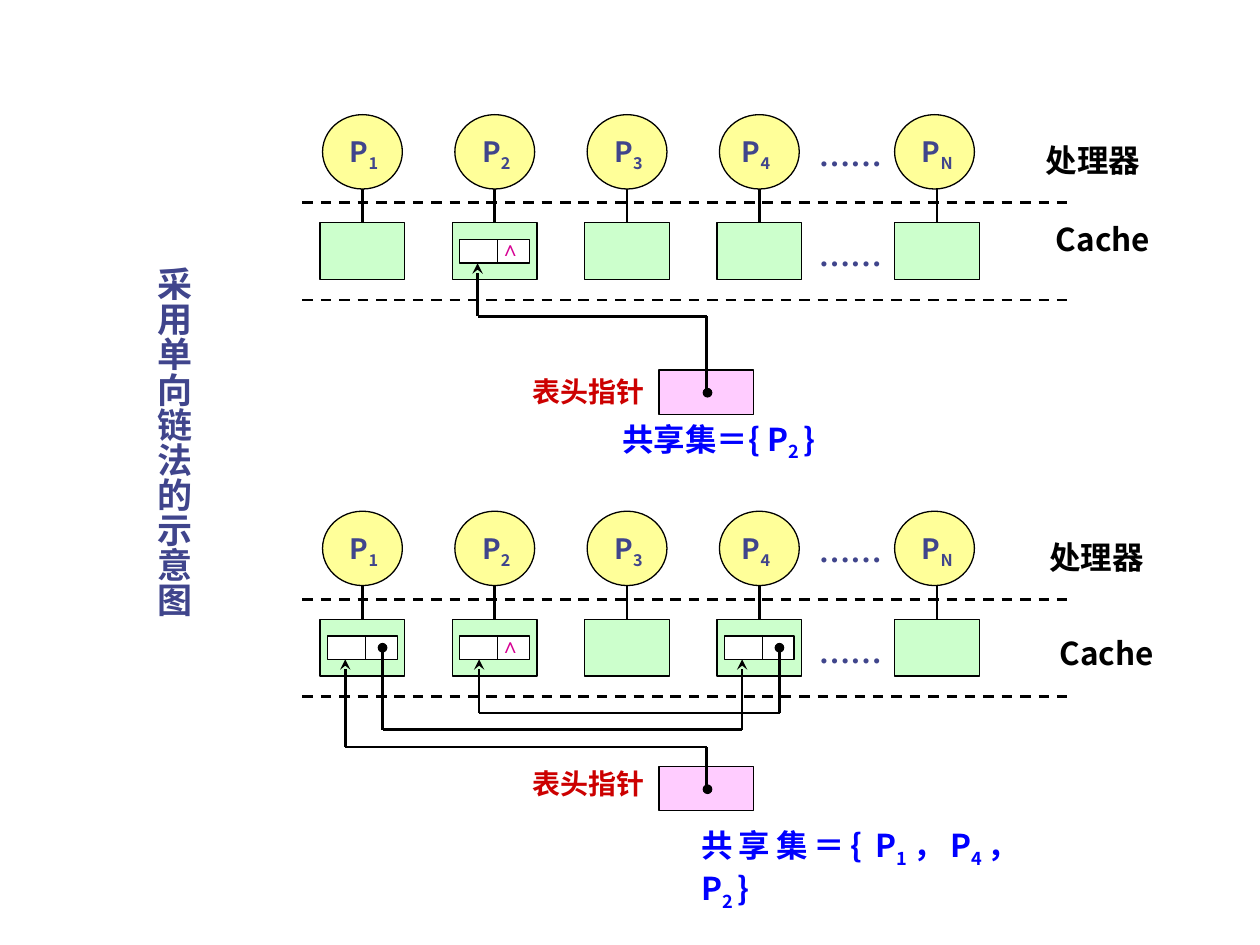
from typing import NamedTuple

import lxml.etree
import pptx
import pptx.dml.color
import pptx.enum.dml
import pptx.enum.shapes
import pptx.enum.text
import pptx.oxml.ns
import pptx.util

Pt = pptx.util.Pt
qn = pptx.oxml.ns.qn
RECT = pptx.enum.shapes.MSO_SHAPE.RECTANGLE
OVAL = pptx.enum.shapes.MSO_SHAPE.OVAL

COLORS = {
    "ink": "000000", "slot": "FFFFFF", "processor": "FFFF99", "cache": "CCFFCC",
    "head": "FFCCFF", "label": "40458C", "null": "D60093", "pointer": "CC0000",
    "set": "0000FF",
}
SANS, SERIF = "Noto Sans CJK SC", "Times New Roman"

# Column geometry shared by both diagrams
STEP = 75.6
CIRCLE_X = [184.3 + STEP * i for i in range(4)] + [511.2]
CACHE_X = [182.9 + STEP * i for i in range(4)] + [511.2]
LABEL_DX = [8.6, 8.6, 8.6, 5.8, 8.6]
NAMES = ["1", "2", "3", "4", "N"]
CACHE_W, CACHE_H = 48.4, 32.4
CIRCLE_W, CIRCLE_H = 45.6, 42.5
NODE_DX, NODE_W, NODE_H = 4.3, 39.8, 13.5
DIAGRAM_GAP = 226.6


class Run(NamedTuple):
    text: str
    sub: bool = False


class Style(NamedTuple):
    size: float
    font: str
    color: str


class Label(NamedTuple):
    x: float
    y: float
    w: float
    h: float
    runs: list[Run]
    style: Style


class Diagram(NamedTuple):
    dy: float
    nodes: dict[int, bool]  # cache index -> True when it links onward
    wires: list[list[tuple[float, float]]]
    labels: list[Label]


PROCESSOR = Style(16, SANS, "label")
DOTS = Style(18, SERIF, "label")
NULL = Style(12, SERIF, "null")
POINTER = Style(16, SERIF, "pointer")
SET = Style(18, SANS, "set")
ROW_CN = Style(18, SERIF, "ink")
ROW_EN = Style(18, SANS, "ink")
TITLE = Style(20, "Karla", "label")

DIAGRAMS = [
    Diagram(
        0, {1: False},
        [[(403.9, 223.2), (403.9, 180.7), (272.9, 180.7), (272.9, 150.5)]],
        [
            Label(297.4, 210.2, 92.9, 20.9, [Run("表头指针")], POINTER),
            Label(348.5, 236.2, 144.7, 31.7,
                  [Run("共享集＝{ P"), Run("2 ", True), Run("}")], SET),
            Label(590.4, 77, 79.2, 28.1, [Run("处理器")], ROW_CN),
            Label(596.2, 122.4, 70, 28.1, [Run("Cache")], ROW_EN),
        ],
    ),
    Diagram(
        DIAGRAM_GAP, {0: True, 1: False, 3: True},
        [
            [(403.9, 449.5), (403.9, 426.8), (197.3, 426.8), (197.3, 376.8)],
            [(218.7, 371), (218.7, 416.9), (424.1, 416.9), (424.1, 376.8)],
            [(445.5, 371), (445.5, 407.5), (273.8, 407.5), (273.8, 376.8)],
        ],
        [
            Label(297.4, 434.2, 87.1, 30.2, [Run("表头指针")], POINTER),
            Label(393.8, 468.7, 195.8, 31.7,
                  [Run("共享集＝{ P"), Run("1", True), Run("，P"), Run("4", True),
                   Run("，P"), Run("2 ", True), Run("}")], SET),
            Label(592.6, 303.8, 79.2, 33.8, [Run("处理器")], ROW_CN),
            Label(598.3, 358.6, 70, 28.1, [Run("Cache")], ROW_EN),
        ],
    ),
]


def rgb(name: str) -> pptx.dml.color.RGBColor:
    return pptx.dml.color.RGBColor.from_string(COLORS[name])


def add_box(s, kind, x: float, y: float, w: float, h: float, fill: str):
    sp = s.shapes.add_shape(kind, Pt(x), Pt(y), Pt(w), Pt(h))
    sp.shadow.inherit = False
    sp.fill.solid()
    sp.fill.fore_color.rgb = rgb(fill)
    sp.line.color.rgb = rgb("ink")
    sp.line.width = Pt(0.75)
    return sp


def add_dot(s, cx: float, cy: float) -> None:
    add_box(s, OVAL, cx - 2.4, cy - 2.4, 4.8, 4.8, "ink")


def add_line(s, start: tuple[float, float], end: tuple[float, float],
             width: float = 1.5, dashed: bool = False, arrow: bool = False):
    line = s.shapes.add_connector(pptx.enum.shapes.MSO_CONNECTOR.STRAIGHT,
                                  *[Pt(v) for v in (*start, *end)])
    line.line.color.rgb = rgb("ink")
    line.line.width = Pt(width)
    if dashed:
        line.line.dash_style = pptx.enum.dml.MSO_LINE.DASH
    if arrow:
        lxml.etree.SubElement(line.line._get_or_add_ln(), qn("a:tailEnd"), type="stealth")
    lxml.etree.SubElement(line._element.spPr, qn("a:effectLst"))
    return line


def add_label(s, label: Label, vertical: bool = False) -> None:
    sp = s.shapes.add_textbox(Pt(label.x), Pt(label.y), Pt(label.w), Pt(label.h))
    tf = sp.text_frame
    tf.word_wrap = True
    p = tf.paragraphs[0]
    if vertical:
        tf._txBody.bodyPr.set("vert", "eaVert")
        tf.margin_left = tf.margin_right = Pt(3.6)
        tf.margin_top = tf.margin_bottom = Pt(7.2)
    else:
        p.alignment = pptx.enum.text.PP_ALIGN.JUSTIFY
    for run in label.runs:
        r = p.add_run()
        r.text = run.text
        r.font.size = Pt(label.style.size)
        r.font.bold = True
        r.font.color.rgb = rgb(label.style.color)
        r.font.name = label.style.font
        lxml.etree.SubElement(r._r.rPr, qn("a:ea"), typeface=SANS)
        if run.sub:
            r._r.rPr.set("baseline", "-25000")


def add_node(s, x: float, y: float, linked: bool) -> None:
    add_box(s, RECT, x, y, NODE_W, NODE_H, "slot")
    add_line(s, (x + 21.6, y), (x + 21.6, y + NODE_H), width=0.75)
    if linked:
        add_dot(s, x + 31.4, y + NODE_H / 2)
    else:
        add_label(s, Label(x + 15.8, y - 5.6, 34, 23, [Run("∧")], NULL))


def add_diagram(s, d: Diagram) -> None:
    circle_y, cache_y = 65.5 + d.dy, 127.3 + d.dy
    # Processors, each joined to its cache
    for cx, bx, dx, name in zip(CIRCLE_X, CACHE_X, LABEL_DX, NAMES):
        add_box(s, OVAL, cx, circle_y, CIRCLE_W, CIRCLE_H, "processor")
        add_label(s, Label(cx + dx, circle_y + 7.9, 36, 25.2,
                           [Run("P"), Run(name, True)], PROCESSOR))
        cache = add_box(s, RECT, bx, cache_y, CACHE_W, CACHE_H, "cache")
        mid = bx + CACHE_W / 2
        stem = add_line(s, (mid, circle_y + CIRCLE_H), (mid, cache_y))
        stem.end_connect(cache, 0)
    # Ellipses and dashed dividers
    for y in (73.4, 131):
        add_label(s, Label(460.8, y + d.dy, 52.6, 28.8, [Run("……")], DOTS))
    for y in (115.9, 171.4):
        add_line(s, (172.8, y + d.dy), (609.8, y + d.dy), dashed=True)
    # Linked-list nodes and head pointer
    for i, linked in d.nodes.items():
        add_node(s, CACHE_X[i] + NODE_DX, 136.8 + d.dy, linked)
    add_box(s, RECT, 376.6, 211.5 + d.dy, 54, 25.2, "head")
    add_dot(s, 404.3, 224.4 + d.dy)
    # Wires, with the arrow on the last leg
    for wire in d.wires:
        for i, (start, end) in enumerate(zip(wire, wire[1:])):
            add_line(s, start, end, arrow=i == len(wire) - 2)
    for label in d.labels:
        add_label(s, label)


def main() -> None:
    prs = pptx.Presentation()
    prs.slide_width, prs.slide_height = Pt(720), Pt(540)
    s = prs.slides.add_slide(prs.slide_layouts[6])
    add_label(s, Label(77, 145.4, 38.2, 244.1, [Run("采用单向链法的示意图")], TITLE),
              vertical=True)
    for d in DIAGRAMS:
        add_diagram(s, d)
    prs.save("out.pptx")


if __name__ == "__main__":
    main()
